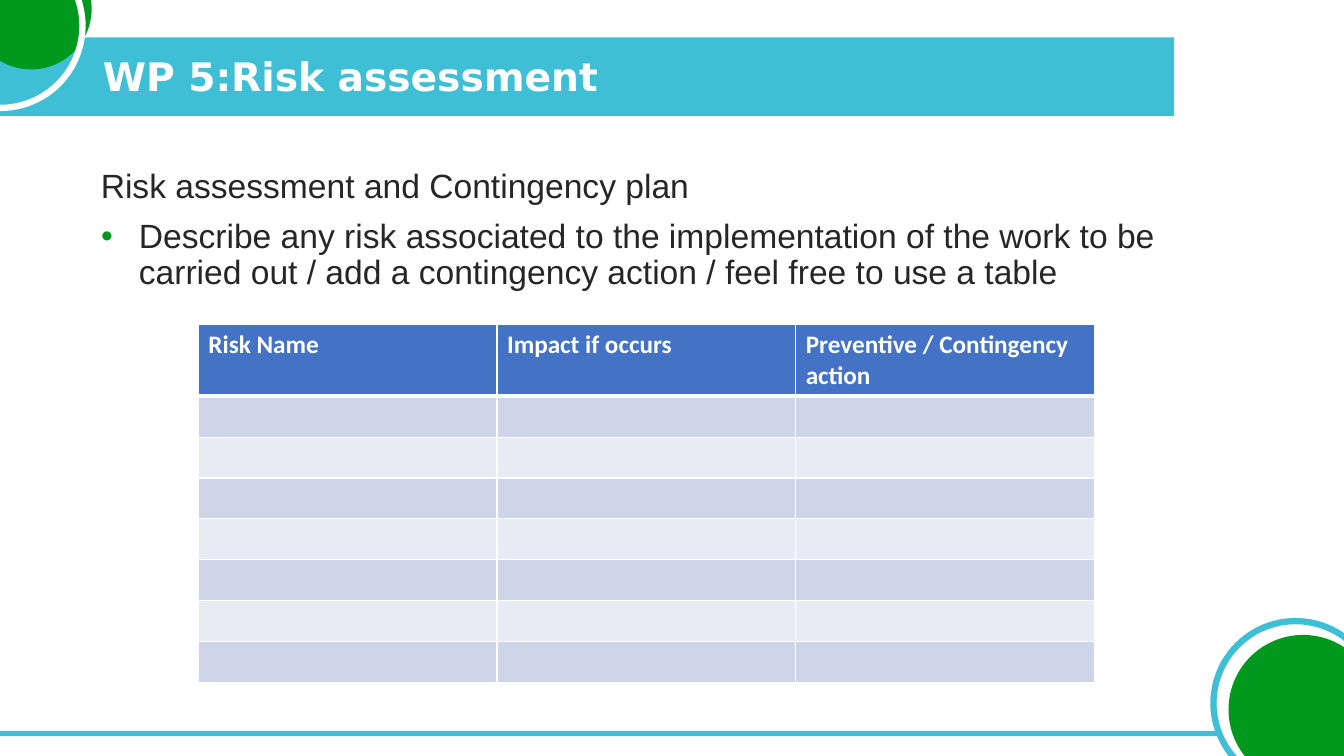
from dataclasses import dataclass

from lxml import etree
from pptx import Presentation
from pptx.dml.color import RGBColor
from pptx.enum.shapes import MSO_SHAPE
from pptx.enum.text import MSO_ANCHOR, MSO_AUTO_SIZE, PP_ALIGN
from pptx.oxml.ns import qn
from pptx.util import Cm, Pt

RECT, OVAL = MSO_SHAPE.RECTANGLE, MSO_SHAPE.OVAL
LEFT, MIDDLE = PP_ALIGN.LEFT, MSO_ANCHOR.MIDDLE
FIXED = MSO_AUTO_SIZE.NONE


@dataclass(frozen=True)
class Theme:
    aqua: str = "3EBFD6"
    green: str = "00991D"
    white: str = "FFFFFF"
    ink: str = "262626"
    head: str = "4472C4"
    bands: tuple = ("CFD5E9", "E8EBF4")
    title: tuple = ("DejaVu Sans", 28, True)
    body: tuple = ("Arial", 24, False)
    cell: tuple = ("Calibri", 18, True)
    ring: float = 4.5
    thin: float = 0.96
    thick: float = 3


class Page:
    def __init__(self, deck, theme):
        self.theme = theme
        self.slide = deck.slides.add_slide(deck.slide_layouts[5])
        self.shapes = self.slide.shapes

    def run(self, para, text, style, color):
        run = para.add_run()
        run.text = text
        font = run.font
        font.name, size, font.bold = style
        font.size = Pt(size)
        font.color.rgb = RGBColor.from_string(color)

    def shape(self, kind, box, fill=None, line=None, turn=0):
        item = self.shapes.add_shape(kind, *map(Cm, box))
        item.shadow.inherit = False
        item.rotation = turn
        if fill:
            item.fill.solid()
            item.fill.fore_color.rgb = RGBColor.from_string(fill)
        else:
            item.fill.background()
        if line:
            item.line.color.rgb = RGBColor.from_string(line)
            item.line.width = Pt(self.theme.ring)
        else:
            item.line.fill.background()

    def title(self, box, text):
        item = self.shapes.title
        self.shapes.element.append(item.element)
        item.left, item.top, item.width, item.height = map(Cm, box)
        frame = item.text_frame
        frame.auto_size = FIXED
        frame.word_wrap = True
        frame.vertical_anchor = MIDDLE
        para = frame.paragraphs[0]
        para.alignment = LEFT
        para.line_spacing = 0.9
        self.run(para, text, self.theme.title, self.theme.white)

    def bullet(self, para):
        props = para._p.get_or_add_pPr()
        props.set("marL", str(Cm(0.96)))
        props.set("indent", str(Cm(-0.95)))
        tint = etree.SubElement(props, qn("a:buClr"))
        etree.SubElement(tint, qn("a:srgbClr"), val=self.theme.green)
        etree.SubElement(props, qn("a:buFont"), typeface="Arial")
        etree.SubElement(props, qn("a:buChar"), char="•")

    def text(self, box, lines):
        frame = self.shapes.add_textbox(*map(Cm, box)).text_frame
        frame.word_wrap = True
        for i, (text, dot) in enumerate(lines):
            para = frame.add_paragraph() if i else frame.paragraphs[0]
            para.line_spacing = 0.9
            para.space_before = Pt(10)
            if dot:
                self.bullet(para)
            self.run(para, text, self.theme.body, self.theme.ink)

    def border(self, cell, top, bottom):
        props = cell._tc.get_or_add_tcPr()
        thin = self.theme.thin
        sides = (("L", thin), ("R", thin), ("T", top), ("B", bottom))
        for i, (side, width) in enumerate(sides):
            line = etree.Element(qn("a:ln" + side), w=str(Pt(width)))
            fill = etree.SubElement(line, qn("a:solidFill"))
            etree.SubElement(fill, qn("a:srgbClr"), val=self.theme.white)
            props.insert(i, line)

    def table(self, left, top, width, heads, rows, first, rest):
        theme = self.theme
        size = (left, top, width, first + rest * rows)
        grid = self.shapes.add_table(rows + 1, len(heads), *map(Cm, size)).table
        for col in grid.columns:
            col.width = Cm(width / len(heads))
        for r, row in enumerate(grid.rows):
            row.height = Cm(rest if r else first)
            for c, cell in enumerate(row.cells):
                cell.fill.solid()
                color = theme.bands[(r - 1) % 2] if r else theme.head
                cell.fill.fore_color.rgb = RGBColor.from_string(color)
                self.border(cell, theme.thick if r == 1 else theme.thin,
                            theme.thin if r else theme.thick)
                if r == 0:
                    para = cell.text_frame.paragraphs[0]
                    self.run(para, heads[c], theme.cell, theme.white)


def main():
    deck = Presentation()
    deck.slide_width, deck.slide_height = Cm(33.87), Cm(19.05)
    theme = Theme()
    page = Page(deck, theme)
    page.shape(RECT, (0, 0.94, 29.59, 1.98), fill=theme.aqua)
    page.shape(RECT, (0, 18.42, 30.78, 0.13), fill=theme.aqua)
    page.shape(OVAL, (30.58, 15.65, 4.14, 4.14), line=theme.aqua, turn=7.5)
    page.shape(OVAL, (30.96, 16, 3.76, 3.76), fill=theme.green, turn=7.5)
    page.shape(OVAL, (-0.74, -1.3, 3.05, 3.05), fill=theme.green, turn=7.5)
    page.shape(OVAL, (-2.06, -1.42, 4.14, 4.14), line=theme.white)
    page.text((2.29, 4.14, 28.68, 12.09), (
        ("Risk assessment and Contingency plan", False),
        ("Describe any risk associated to the implementation of the work to be "
         "carried out / add a contingency action / feel free to use a table", True),
    ))
    page.title((2.34, 1.27, 26.87, 1.42), "WP 5:Risk assessment")
    heads = ("Risk Name", "Impact if occurs", "Preventive / Contingency action")
    page.table(5, 8.18, 22.58, heads, rows=7, first=1.52, rest=1.03)
    deck.save("out.pptx")


if __name__ == "__main__":
    main()
